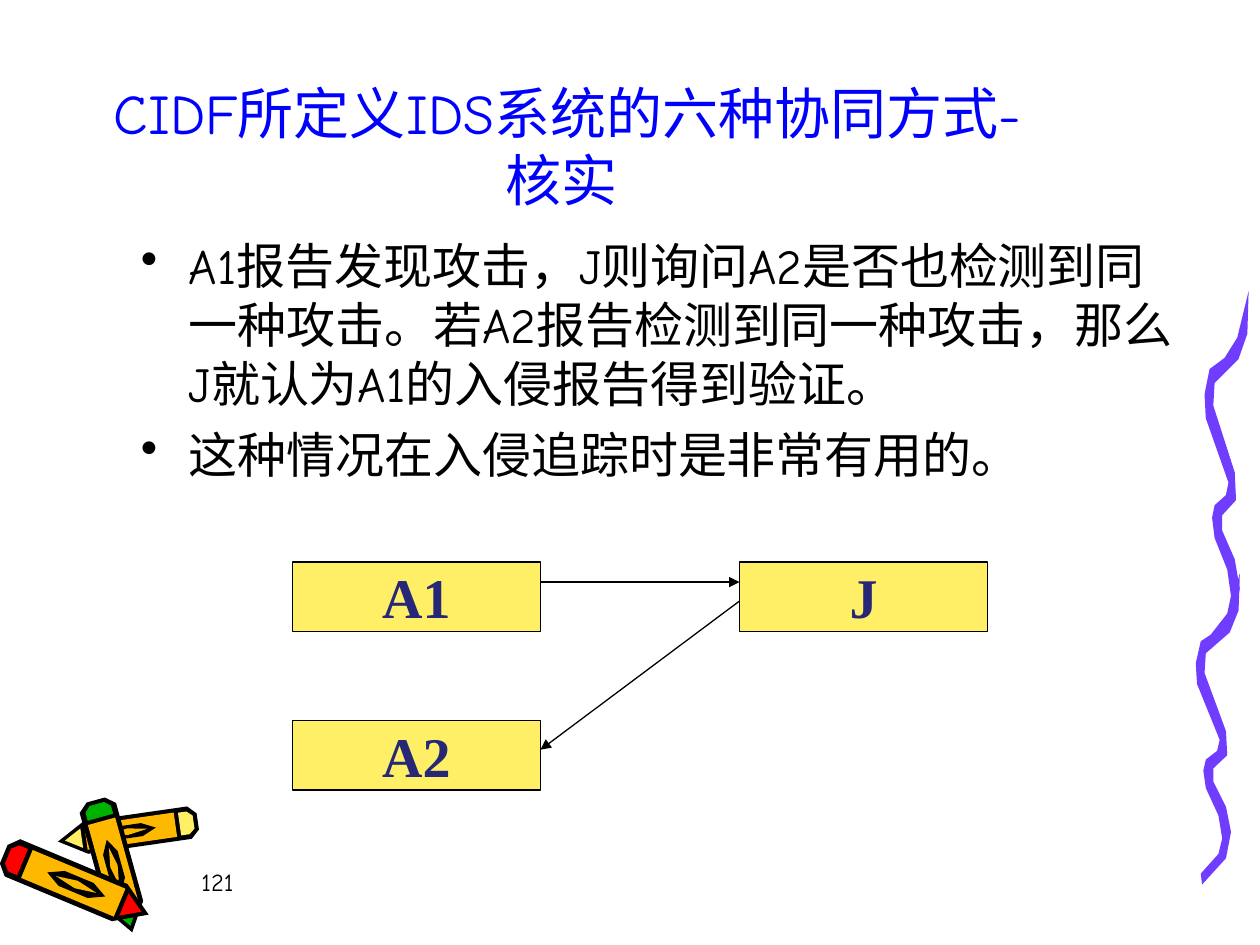
from dataclasses import dataclass

import pptx
import pptx.dml.color
import pptx.enum.shapes
import pptx.enum.text
import pptx.oxml
import pptx.oxml.ns
import pptx.slide
import pptx.text.text
import pptx.util
from pptx.util import Inches

COLORS = {
    "black": "000000", "red": "FF0000", "green": "00B200", "orange": "FFB800",
    "yellow": "FFEF66", "purple": "703DFF", "title": "0000FF", "label": "272777",
}
BODY_FONT = "Comic Neue"
LABEL_FONT = "Times New Roman"
BOX_WIDTH, BOX_HEIGHT = 1.97, 0.55
LEFT_COLUMN, RIGHT_COLUMN = 2.32, 5.87
LEFT_EDGE = LEFT_COLUMN + BOX_WIDTH
TOP_ROW, BOTTOM_ROW = 4.46, 5.72

Point = tuple[float, float]


@dataclass(frozen=True)
class Pencil:
    cap: Point
    tip: Point
    half_width: float
    cap_color: str
    tip_color: str


@dataclass(frozen=True)
class Box:
    label: str
    left: float
    top: float


@dataclass(frozen=True)
class Arrow:
    start: Point
    end: Point


@dataclass(frozen=True)
class TextStyle:
    size: int
    color: str
    font: str = BODY_FONT
    bold: bool = False


PENCILS = [
    Pencil((1.57, 6.52), (0.46, 6.68), 0.13, "yellow", "yellow"),
    Pencil((0.76, 6.35), (1.05, 7.4), 0.15, "green", "green"),
    Pencil((0.03, 6.78), (1.18, 7.26), 0.16, "red", "red"),
]
SQUIGGLE = [
    (9.6, 5.05), (9.74, 4.87), (9.77, 4.73), (9.74, 4.52), (9.64, 4.27), (9.62, 4.11), (9.64, 4.01),
    (9.73, 3.93), (9.75, 3.83), (9.57, 3.32), (9.56, 3.13), (9.6, 2.93), (9.72, 2.84), (9.82, 2.68),
    (9.91, 2.31), (9.9, 2.65), (9.83, 2.85), (9.64, 3.04), (9.63, 3.22), (9.8, 3.75), (9.81, 3.97),
    (9.7, 4.09), (9.7, 4.21), (9.8, 4.44), (9.84, 4.67), (9.8, 4.91), (9.61, 5.15),
]
LOWER_SQUIGGLE = [(x - 0.07, 4.55 + (y - 2.31) * 0.87) for x, y in SQUIGGLE]
BOXES = [Box("A1", LEFT_COLUMN, TOP_ROW), Box("A2", LEFT_COLUMN, BOTTOM_ROW), Box("J", RIGHT_COLUMN, TOP_ROW)]
ARROWS = [
    Arrow((LEFT_EDGE, 4.62), (RIGHT_COLUMN, 4.62)),
    Arrow((RIGHT_COLUMN, 4.77), (LEFT_EDGE, 5.95)),
]
BULLETS = [
    "A1报告发现攻击，J则询问A2是否也检测到同一种攻击。若A2报告检测到同一种攻击，那么J就认为A1的入侵报告得到验证。",
    "这种情况在入侵追踪时是非常有用的。",
]


def rgb(name: str) -> pptx.dml.color.RGBColor:
    return pptx.dml.color.RGBColor.from_string(COLORS[name])


def add_run(paragraph: pptx.text.text._Paragraph, text: str, style: TextStyle) -> None:
    run = paragraph.add_run()
    run.text = text
    run.font.size = pptx.util.Pt(style.size)
    run.font.name = style.font
    run.font.bold = style.bold
    run.font.color.rgb = rgb(style.color)


def add_text_frame(slide: pptx.slide.Slide, left: float, top: float,
                   width: float, height: float) -> pptx.text.text.TextFrame:
    shape = slide.shapes.add_textbox(Inches(left), Inches(top), Inches(width), Inches(height))
    shape.text_frame.word_wrap = True
    return shape.text_frame


def draw_outline(slide: pptx.slide.Slide, outline: list[Point], color: str) -> None:
    points = [(Inches(x), Inches(y)) for x, y in outline]
    builder = slide.shapes.build_freeform(*points[0])
    builder.add_line_segments(points[1:], close=True)
    shape = builder.convert_to_shape()
    shape.shadow.inherit = False
    shape.fill.solid()
    shape.fill.fore_color.rgb = rgb(color)
    shape.line.fill.background()


def draw_pencil(slide: pptx.slide.Slide, pencil: Pencil) -> None:
    run_x, run_y = pencil.tip[0] - pencil.cap[0], pencil.tip[1] - pencil.cap[1]
    length = (run_x ** 2 + run_y ** 2) ** 0.5

    def place(along: float, across: float) -> Point:
        offset = across * pencil.half_width / length
        return (pencil.cap[0] + along * run_x - offset * run_y,
                pencil.cap[1] + along * run_y + offset * run_x)

    parts = [
        ("black", [(0, 0.5), (0.06, 1), (0.8, 1), (1, 0)]),
        (pencil.cap_color, [(0.03, 0.4), (0.07, 0.7), (0.13, 0.7)]),
        ("orange", [(0.16, 0.75), (0.8, 0.75)]),
        (pencil.tip_color, [(0.83, 0.6), (0.95, 0)]),
        ("black", [(0.3, 0), (0.4, 0.4), (0.6, 0.4), (0.7, 0)]),
        ("orange", [(0.36, 0), (0.5, 0.2), (0.64, 0)]),
    ]
    for color, half in parts:
        mirrored = [(along, -across) for along, across in reversed(half) if across]
        draw_outline(slide, [place(*point) for point in half + mirrored], color)


def draw_box(slide: pptx.slide.Slide, box: Box) -> None:
    shape = slide.shapes.add_shape(pptx.enum.shapes.MSO_SHAPE.RECTANGLE, Inches(box.left), Inches(box.top),
                                   Inches(BOX_WIDTH), Inches(BOX_HEIGHT))
    shape.shadow.inherit = False
    shape.fill.solid()
    shape.fill.fore_color.rgb = rgb("yellow")
    shape.line.color.rgb = rgb("black")
    shape.line.width = pptx.util.Pt(0.75)
    shape.text_frame.word_wrap = False
    shape.text_frame.vertical_anchor = pptx.enum.text.MSO_ANCHOR.MIDDLE
    paragraph = shape.text_frame.paragraphs[0]
    paragraph.alignment = pptx.enum.text.PP_ALIGN.CENTER
    add_run(paragraph, box.label, TextStyle(32, "label", LABEL_FONT, True))


def draw_arrow(slide: pptx.slide.Slide, arrow: Arrow) -> None:
    connector = slide.shapes.add_connector(pptx.enum.shapes.MSO_CONNECTOR.STRAIGHT,
                                           *map(Inches, arrow.start + arrow.end))
    connector.line.color.rgb = rgb("black")
    connector.line.width = pptx.util.Pt(0.75)
    properties = connector._element.spPr
    line = properties.find(pptx.oxml.ns.qn("a:ln"))
    line.append(pptx.oxml.parse_xml(f'<a:tailEnd {pptx.oxml.ns.nsdecls("a")} type="triangle"/>'))
    properties.append(pptx.oxml.parse_xml(f'<a:effectLst {pptx.oxml.ns.nsdecls("a")}/>'))


def draw_title(slide: pptx.slide.Slide) -> None:
    frame = add_text_frame(slide, 0.75, 0.17, 7.51, 1.57)
    frame.vertical_anchor = pptx.enum.text.MSO_ANCHOR.BOTTOM
    frame.paragraphs[0].alignment = pptx.enum.text.PP_ALIGN.CENTER
    add_run(frame.paragraphs[0], "CIDF所定义IDS系统的六种协同方式-核实 ", TextStyle(32, "title"))


def draw_bullets(slide: pptx.slide.Slide) -> None:
    frame = add_text_frame(slide, 1.02, 1.82, 8.5, 3.31)
    for index, text in enumerate(BULLETS):
        paragraph = frame.add_paragraph() if index else frame.paragraphs[0]
        if index:
            paragraph.space_before = pptx.util.Pt(7)
        properties = paragraph._p.get_or_add_pPr()
        properties.set("marL", str(Inches(0.38)))
        properties.set("indent", str(Inches(-0.38)))
        properties.append(pptx.oxml.parse_xml(f'<a:buChar {pptx.oxml.ns.nsdecls("a")} char="•"/>'))
        add_run(paragraph, text, TextStyle(28, "black"))


def main() -> None:
    presentation = pptx.Presentation()
    presentation.slide_width, presentation.slide_height = Inches(10), Inches(7.5)
    slide = presentation.slides.add_slide(presentation.slide_layouts[6])
    for pencil in PENCILS:
        draw_pencil(slide, pencil)
    for outline in (LOWER_SQUIGGLE, SQUIGGLE):
        draw_outline(slide, outline, "purple")
    number_frame = add_text_frame(slide, 1.5, 6.83, 2.08, 0.5)
    add_run(number_frame.paragraphs[0], "121", TextStyle(14, "black"))
    draw_title(slide)
    draw_bullets(slide)
    for box in BOXES:
        draw_box(slide, box)
    for arrow in ARROWS:
        draw_arrow(slide, arrow)
    presentation.save("out.pptx")


if __name__ == "__main__":
    main()
